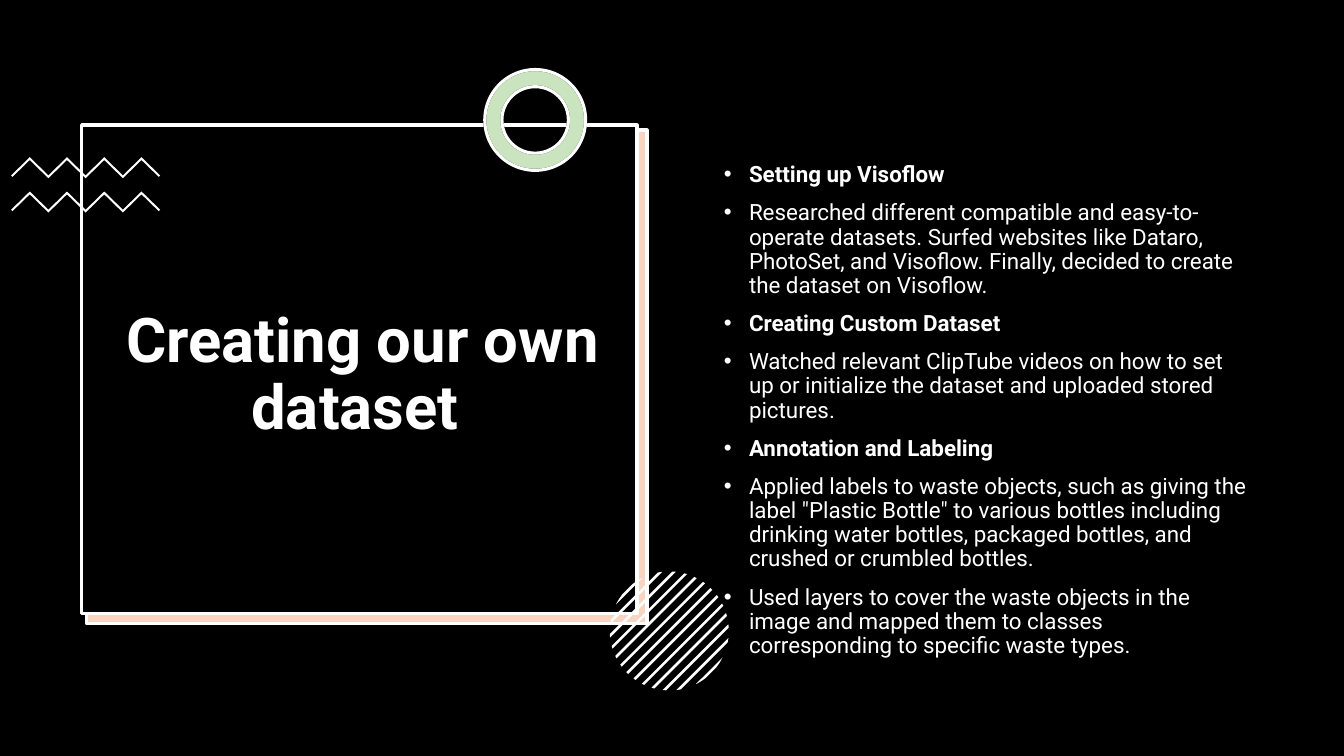
"""Build the slide on creating a custom image dataset."""
from dataclasses import dataclass
from math import acos, cos, pi, sin

from lxml import etree
from pptx import Presentation
from pptx.dml.color import RGBColor
from pptx.enum.shapes import MSO_SHAPE
from pptx.enum.text import MSO_ANCHOR, MSO_AUTO_SIZE, PP_ALIGN
from pptx.oxml.ns import qn
from pptx.util import Pt

RECTANGLE, DONUT = MSO_SHAPE.RECTANGLE, MSO_SHAPE.DONUT
CENTER, LEFT = PP_ALIGN.CENTER, PP_ALIGN.LEFT
MIDDLE, TOP = MSO_ANCHOR.MIDDLE, MSO_ANCHOR.TOP
NO_FIT = MSO_AUTO_SIZE.NONE


@dataclass(frozen=True)
class Theme:
    black: str = "000000"
    white: str = "FFFFFF"
    orange: str = "E97132"
    green: str = "4EA72E"
    font: str = "Roboto"
    title_size: float = 44
    body_size: float = 16
    outline: float = 2.25
    tint: int = 30


TITLE = "Creating our own dataset "
STEPS = [
    ("Setting up Visoflow", True),
    ("Researched different compatible and easy-to-operate datasets. Surfed websites like Dataro, "
     "PhotoSet, and Visoflow. Finally, decided to create the dataset on Visoflow.", False),
    ("Creating Custom Dataset", True),
    ("Watched relevant ClipTube videos on how to set up or initialize the dataset and uploaded "
     "stored pictures.", False),
    ("Annotation and Labeling", True),
    ("Applied labels to waste objects, such as giving the label \"Plastic Bottle\" to various "
     "bottles including drinking water bottles, packaged bottles, and crushed or crumbled "
     "bottles.", False),
    ("Used layers to cover the waste objects in the image and mapped them to classes "
     "corresponding to specific waste types.", False),
]


def write(paragraph, text, *, font, size, color, bold=False, align=LEFT, before=0, indent=0):
    paragraph.alignment = align
    paragraph.line_spacing = 0.9
    paragraph.space_before = Pt(before)
    properties = paragraph._p.get_or_add_pPr()
    properties.set("marL", str(Pt(indent)))
    properties.set("indent", str(-Pt(indent)))
    run = paragraph.add_run()
    run.text = text
    run.font.name = font
    run.font.size = Pt(size)
    run.font.bold = bold
    run.font.color.rgb = RGBColor.from_string(color)


class SlideBuilder:
    def __init__(self, slide, theme):
        self.slide = slide
        self.theme = theme

    def background(self, color):
        fill = self.slide.background.fill
        fill.solid()
        fill.fore_color.rgb = RGBColor.from_string(color)

    def paint(self, shape, fill, line=None, opacity=100):
        shape.shadow.inherit = False
        shape.fill.solid()
        shape.fill.fore_color.rgb = RGBColor.from_string(fill)
        if opacity < 100:
            color = shape._element.spPr.find(qn("a:solidFill"))[0]
            etree.SubElement(color, qn("a:alpha")).set("val", str(opacity * 1000))
        if line:
            shape.line.color.rgb = RGBColor.from_string(line)
            shape.line.width = Pt(self.theme.outline)
        else:
            shape.line.fill.background()

    def preset(self, kind, box, fill, line=None, opacity=100):
        shape = self.slide.shapes.add_shape(kind, *map(Pt, box))
        self.paint(shape, fill, line, opacity)
        return shape

    def ring(self, box, fill, line, opacity=100):
        self.preset(DONUT, box, fill, line, opacity).adjustments[0] = 0.17

    def polygons(self, outlines):
        group = self.slide.shapes.add_group_shape()
        for outline in outlines:
            points = [(Pt(x), Pt(y)) for x, y in outline]
            builder = group.shapes.build_freeform(*points[0])
            builder.add_line_segments(points[1:], close=True)
            self.paint(builder.convert_to_shape(), self.theme.white)

    def placeholder(self, index, box, anchor, top_margin=3.6):
        shape = self.slide.placeholders[index]
        shape.left, shape.top, shape.width, shape.height = map(Pt, box)
        self.slide.shapes._spTree.append(shape._element)
        frame = shape.text_frame
        frame.word_wrap = True
        frame.auto_size = NO_FIT
        frame.vertical_anchor = anchor
        frame.margin_top = Pt(top_margin)
        return frame

    def title(self, text, box):
        frame = self.placeholder(0, box, MIDDLE)
        write(frame.paragraphs[0], text, font=self.theme.font, size=self.theme.title_size,
              color=self.theme.white, bold=True, align=CENTER)

    def bullets(self, items, box, top_margin):
        frame = self.placeholder(1, box, TOP, top_margin)
        for number, (text, bold) in enumerate(items):
            paragraph = frame.add_paragraph() if number else frame.paragraphs[0]
            write(paragraph, text, font=self.theme.font, size=self.theme.body_size,
                  color=self.theme.white, bold=bold, before=10 if number else 0, indent=18)


def zigzag(left, top, step=13.3, rise=13, thickness=2):
    upper = [(left + step * i, top + (0 if i % 2 else rise)) for i in range(9)]
    lower = [(x, y + thickness) for x, y in upper[1:-1]]
    start, end = upper[0], upper[-1]
    return upper + [(end[0] - 1, end[1] + 1)] + lower[::-1] + [(start[0] + 1, start[1] + 1)]


def stripe(center_x, center_y, radius, offset, thickness=1.85, samples=5):
    def rim(distance, side):
        angle = pi / 4 + side * acos(distance / radius)
        return center_x + radius * cos(angle), center_y + radius * sin(angle)

    distances = [offset + thickness * (i / (samples - 1) - 0.5) for i in range(samples)]
    return [rim(d, 1) for d in distances] + [rim(d, -1) for d in reversed(distances)]


def main():
    theme = Theme()
    presentation = Presentation()
    presentation.slide_width, presentation.slide_height = Pt(960), Pt(540)
    slide = presentation.slides.add_slide(presentation.slide_layouts[1])
    builder = SlideBuilder(slide, theme)
    builder.background(theme.black)

    builder.preset(RECTANGLE, (61.2, 93.6, 400.3, 352.8), theme.white)
    builder.preset(RECTANGLE, (61.9, 92.9, 400.3, 352.8), theme.orange, theme.white, theme.tint)
    builder.preset(RECTANGLE, (58.3, 89.3, 396.7, 349.2), theme.black, theme.white)

    builder.polygons(zigzag(8, top) for top in (112.3, 136.8))
    ring_box = (346.3, 49.7, 72, 72)
    builder.ring(ring_box, theme.white, theme.black)
    builder.ring(ring_box, theme.green, theme.white, theme.tint)
    builder.polygons(stripe(478.1, 450.7, 42.5, 6.87 * i) for i in range(-6, 7))

    builder.title(TITLE, (66.2, 109.4, 385.9, 318.2))
    builder.bullets(STEPS, (509.8, 89.3, 391.7, 342.7), top_margin=27.4)
    presentation.save("out.pptx")


if __name__ == "__main__":
    main()
